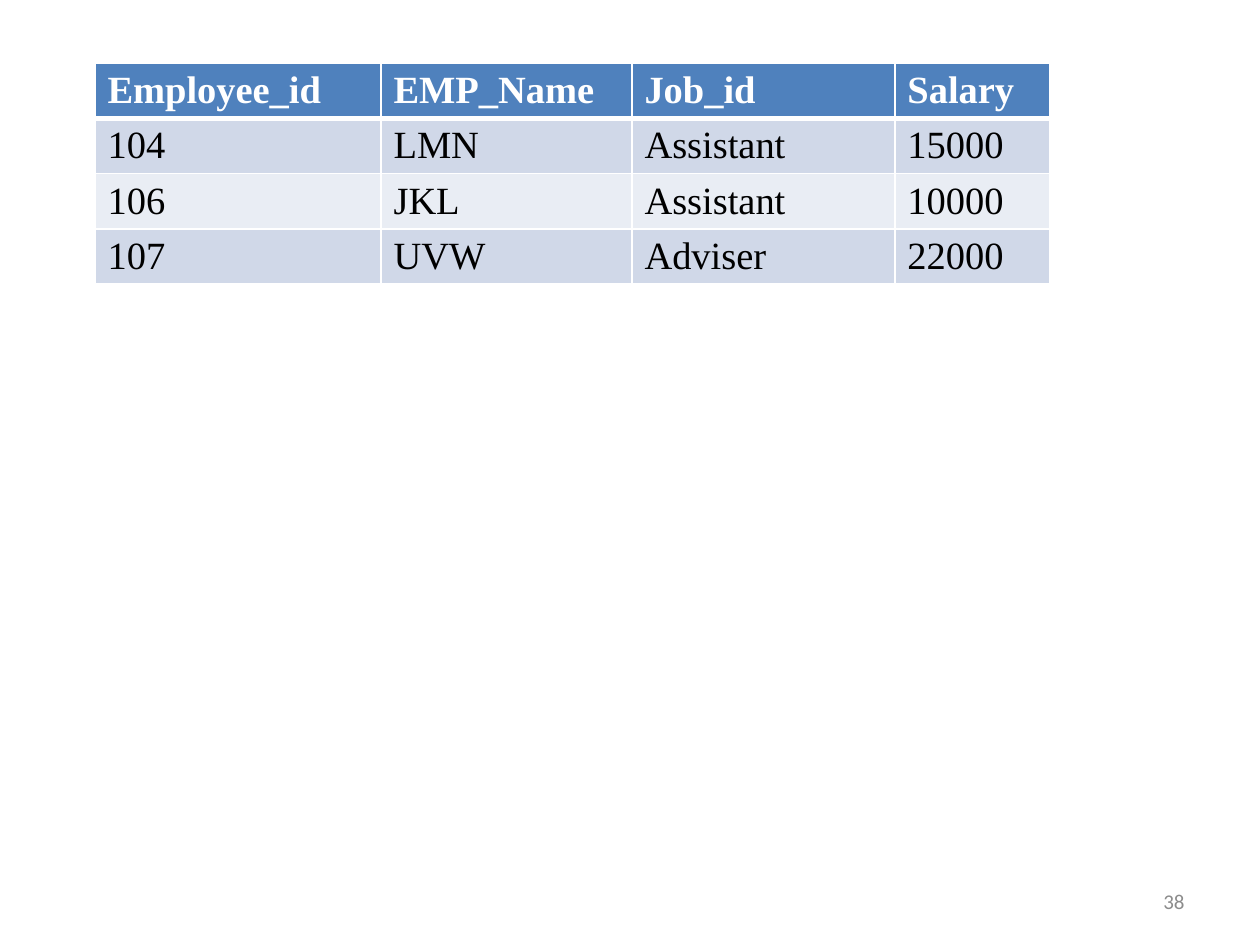
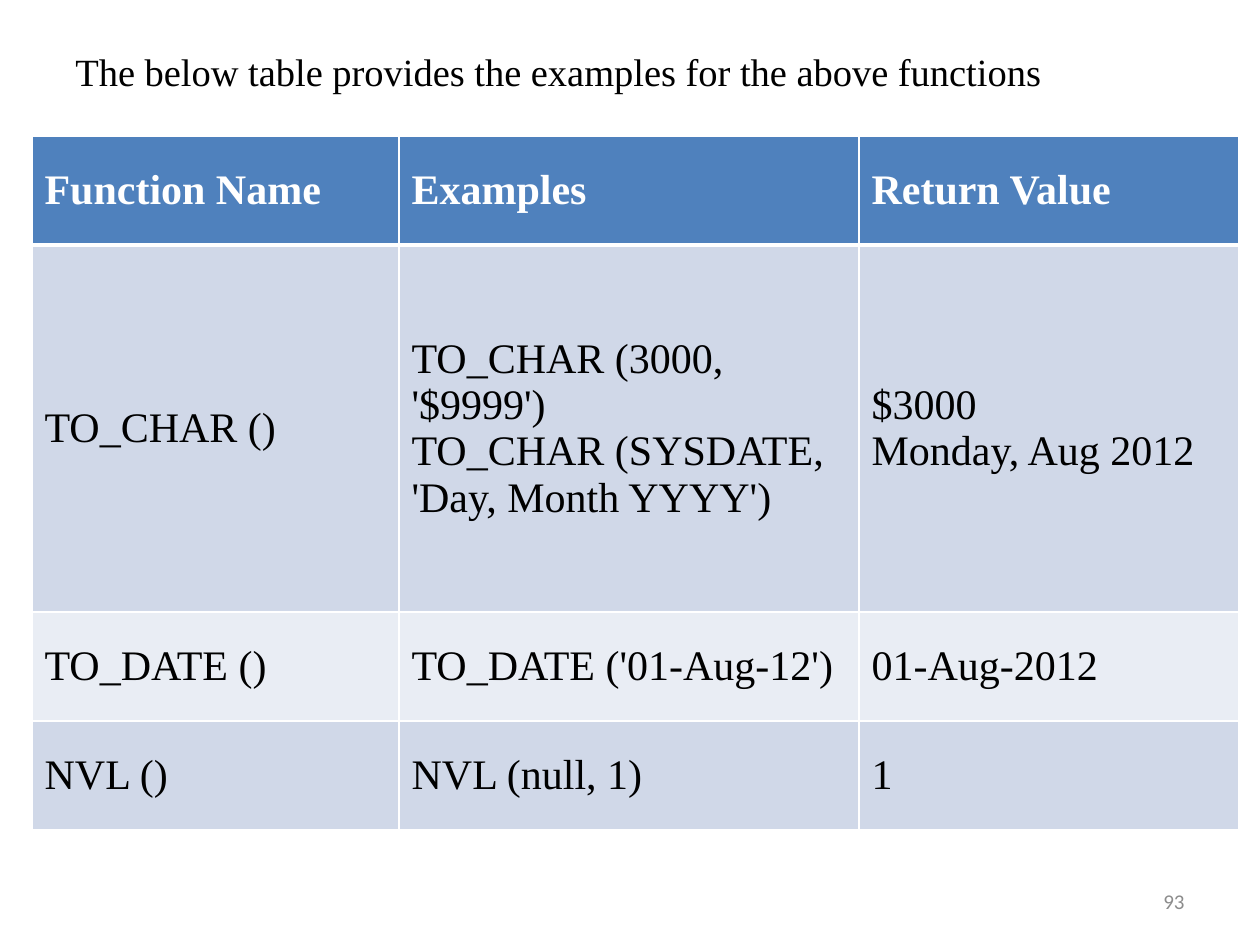
import pptx
import pptx.dml.color
import pptx.enum.text
import pptx.oxml
import pptx.oxml.ns
import pptx.util

SCALE = 914400 / 126
COLORS = {
    "header": "4F81BD",
    "odd": "D0D8E8",
    "even": "E9EDF4",
    "white": "FFFFFF",
    "black": "000000",
    "number": "8C8C8C",
}
SERIF = "Times New Roman"
SANS = "Calibri"
TOP = pptx.enum.text.MSO_ANCHOR.TOP
MIDDLE = pptx.enum.text.MSO_ANCHOR.MIDDLE
LEFT = pptx.enum.text.PP_ALIGN.LEFT
RIGHT = pptx.enum.text.PP_ALIGN.RIGHT


def px(n):
    return pptx.util.Emu(round(n * SCALE))


def rgb(name):
    return pptx.dml.color.RGBColor.from_string(COLORS[name])


def write_text(tf, text, size=22, font=SERIF, color="black", bold=False, align=LEFT):
    tf.word_wrap = True
    p = tf.paragraphs[0]
    p.text = text
    p.alignment = align
    for r in p.runs:
        r.font.size = pptx.util.Pt(size)
        r.font.name = font
        r.font.bold = bold
        r.font.color.rgb = rgb(color)


def add_text(slide, x, y, w, h, text, **fmt):
    tf = slide.shapes.add_textbox(px(x), px(y), px(w), px(h)).text_frame
    tf.vertical_anchor = MIDDLE
    write_text(tf, text, **fmt)


def add_slide_number(slide, number):
    add_text(slide, 903, 876, 294, 50, str(number),
             size=12, font=SANS, color="number", align=RIGHT)


def set_borders(cell, top=1, bottom=1):
    tcPr = cell._tc.get_or_add_tcPr()
    for side, width in (("L", 1), ("R", 1), ("T", top), ("B", bottom)):
        tcPr.append(pptx.oxml.parse_xml(
            f'<a:ln{side} {pptx.oxml.ns.nsdecls("a")} w="{pptx.util.Pt(width)}">'
            f'<a:solidFill><a:srgbClr val="{COLORS["white"]}"/></a:solidFill>'
            f'</a:ln{side}>'))


def add_table(slide, x, y, col_widths, row_heights, rows, size, anchor):
    table = slide.shapes.add_table(
        len(rows), len(col_widths), px(x), px(y),
        px(sum(col_widths)), px(sum(row_heights))).table
    for col, width in zip(table.columns, col_widths):
        col.width = px(width)
    for row, height in zip(table.rows, row_heights):
        row.height = px(height)
    for i, values in enumerate(rows):
        header = i == 0
        fill = "header" if header else "odd" if i % 2 else "even"
        for j, value in enumerate(values):
            cell = table.cell(i, j)
            set_borders(cell, top=3 if i == 1 else 1, bottom=3 if header else 1)
            cell.fill.solid()
            cell.fill.fore_color.rgb = rgb(fill)
            cell.vertical_anchor = anchor
            write_text(cell.text_frame, value, size=size, bold=header,
                       color="white" if header else "black")


def add_employee_slide(prs, blank):
    slide = prs.slides.add_slide(blank)
    rows = [
        ("Employee_id", "EMP_Name", "Job_id", "Salary"),
        ("104", "LMN", "Assistant", "15000"),
        ("106", "JKL", "Assistant", "10000"),
        ("107", "UVW", "Adviser", "22000"),
    ]
    add_table(slide, 95, 63, [286, 251, 263, 155], [52] * 4, rows, size=22, anchor=TOP)
    add_slide_number(slide, 38)


def add_function_slide(prs, blank):
    slide = prs.slides.add_slide(blank)
    add_text(slide, 63, 38, 1134, 67,
             "The below table provides the examples for the above functions")
    rows = [
        ("Function Name", "Examples", "Return Value"),
        ("TO_CHAR ()",
         "TO_CHAR (3000, '$9999') \vTO_CHAR (SYSDATE, 'Day, Month YYYY')",
         "$3000\vMonday, Aug 2012"),
        ("TO_DATE ()", "TO_DATE ('01-Aug-12')", "01-Aug-2012"),
        ("NVL ()", "NVL (null, 1)", "1"),
    ]
    add_table(slide, 32, 136, [367, 460, 380], [109, 367, 109, 109], rows,
              size=24, anchor=MIDDLE)
    add_slide_number(slide, 93)


def main():
    prs = pptx.Presentation()
    prs.slide_width = px(1260)
    prs.slide_height = px(945)
    blank = prs.slide_layouts[6]
    add_employee_slide(prs, blank)
    add_function_slide(prs, blank)
    prs.save("out.pptx")


if __name__ == "__main__":
    main()
